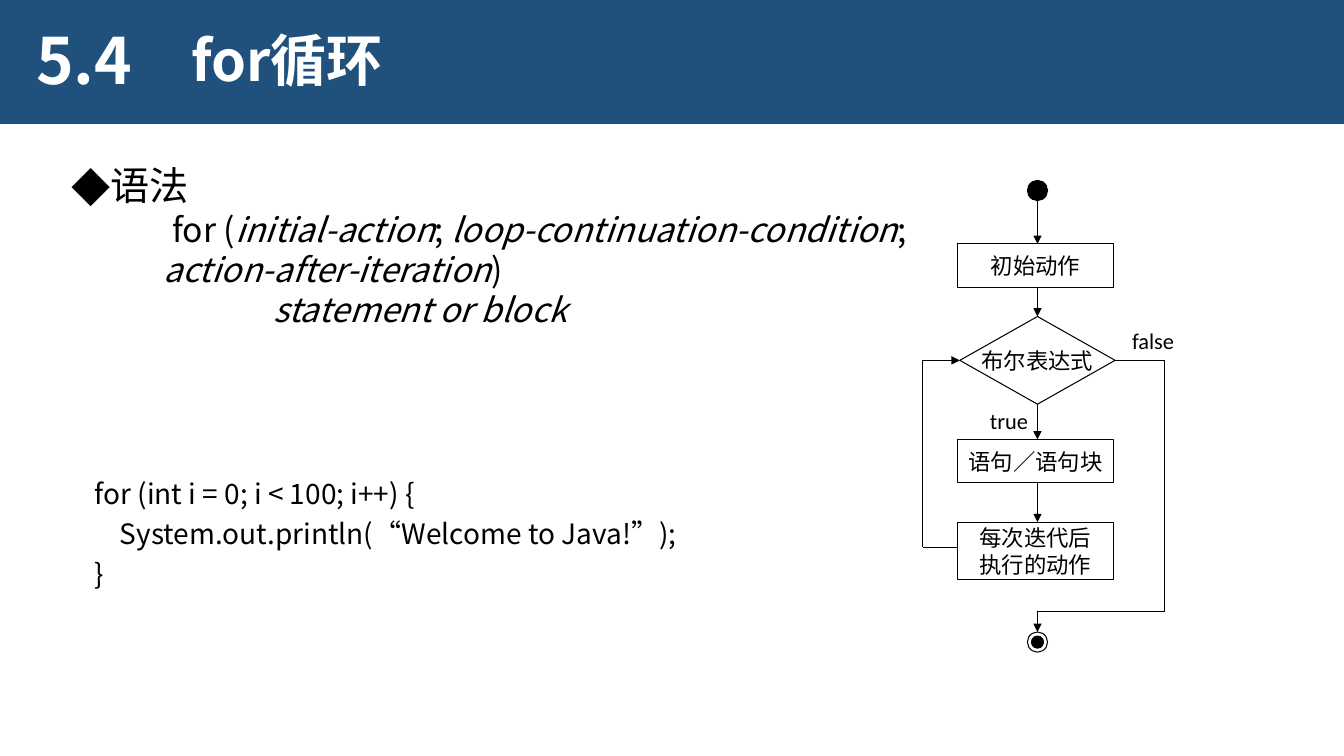
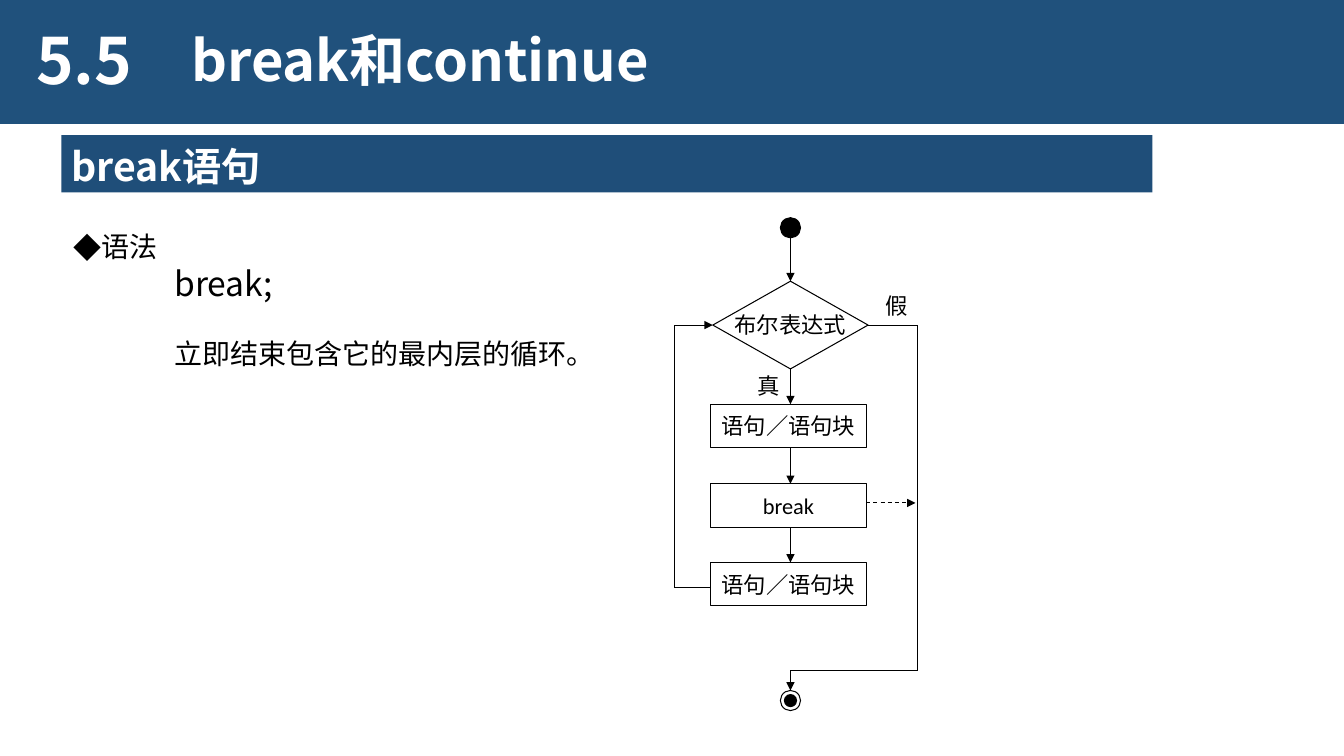
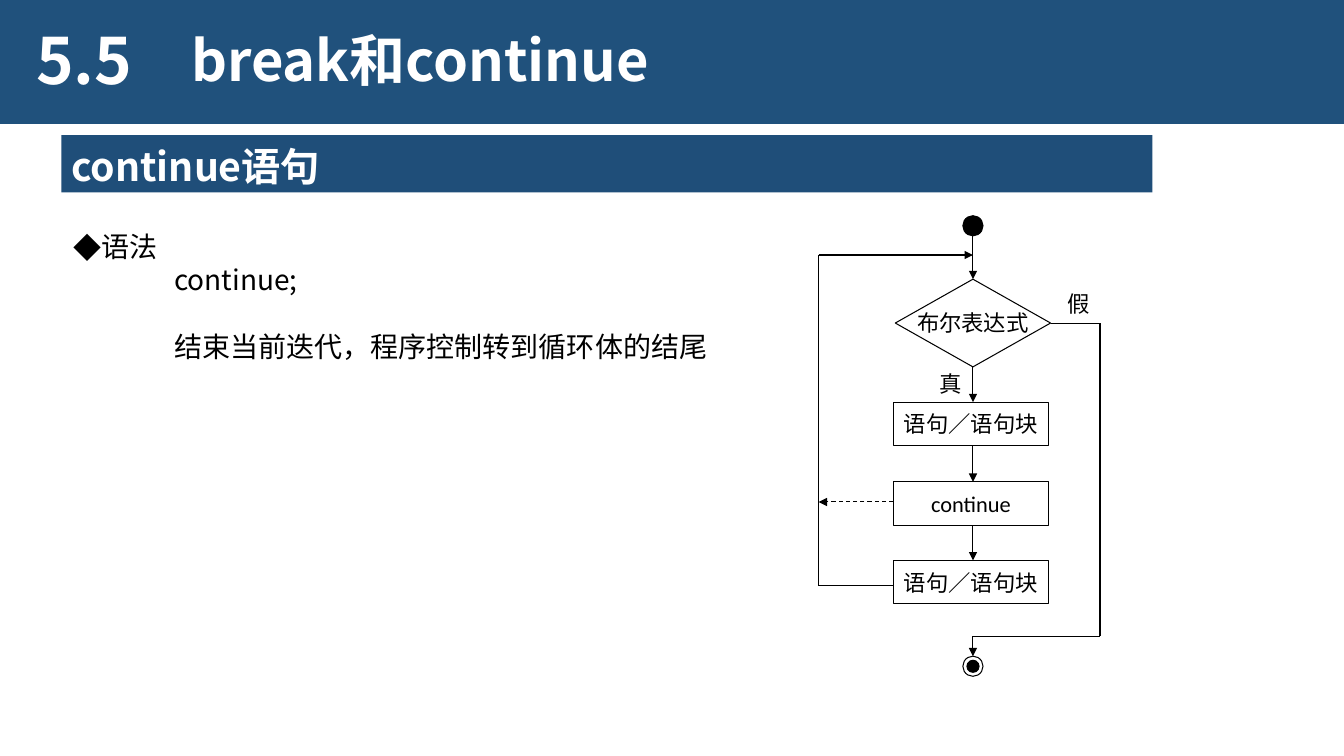
from lxml.etree import SubElement
from pptx import Presentation
from pptx.dml.color import RGBColor
from pptx.enum.dml import MSO_LINE
from pptx.enum.shapes import MSO_CONNECTOR, MSO_SHAPE as Preset
from pptx.enum.text import MSO_ANCHOR, MSO_AUTO_SIZE, PP_ALIGN
from pptx.oxml.ns import qn
from pptx.util import Inches, Pt

# Shared look
WIDTH, HEIGHT = 13.33, 7.5
BAND, BANNER, INK, PAPER = "20517C", "1F4E79", "000000", "FFFFFF"
HEAD_FONT, LABEL_FONT = "Noto Sans CJK SC", "Calibri"
LEADING = 1.19          # line pitch as a multiple of the text size
NODE_W, NODE_H, DECISION_H, DOT = 1.54, 0.43, 0.87, 0.2
STEP, DECISION, DOUBLE = "step", "decision", "double"

# Content: a line is (indent, space before, size, bullet, [(text, italic), ...])
PAGES = [
    {
        "number": "5.4", "title": "for循环", "banner": None,
        "body_at": (0.61, 1.56),
        "body": [
            (0, 0, 28, True, [("语法", False)]),
            (1, 0, 24, False, [("for (", False), ("initial-action", True), ("; ", False),
                               ("loop-continuation-condition", True), (";", False)]),
            (0.91, 0, 24, False, [("action-after-iteration", True), (")", False)]),
            (2, 0, 24, False, [("statement or block", True)]),
        ],
        "code": [
            (0, 0, 20, False, [("for (int i = 0; i < 100; i++) {", False)]),
            (0.25, 4.8, 20, False, [("System.out.println(“Welcome to Java!”);", False)]),
            (0, 4.8, 20, False, [("}", False)]),
        ],
        "flow": {
            "center": 10.29, "start": 1.79, "end": 6.27, "loop_x": 9.15,
            "nodes": [(STEP, "初始动作", 2.42), (DECISION, "布尔表达式", 3.14),
                      (STEP, "语句／语句块", 4.36),
                      (DOUBLE, "每次迭代后\n执行的动作", 5.18)],
            "yes": ("true", 0.57, 0.66), "no": ("false", 0.73),
        },
    },
    {
        "number": "5.5", "title": "break和continue", "banner": "break语句",
        "body_at": (0.63, 2.23),
        "body": [
            (0, 0, 20, True, [("语法", False)]),
            (1, 0, 24, False, [("break;", False)]),
            (1, 23.8, 20, False, [("立即结束包含它的最内层的循环。", False)]),
        ],
        "flow": {
            "center": 7.84, "start": 2.16, "end": 6.85, "loop_x": 6.69,
            "nodes": [(DECISION, "布尔表达式", 2.79), (STEP, "语句／语句块", 4.01),
                      (STEP, "break", 4.8), (STEP, "语句／语句块", 5.58)],
            "yes": ("真", 0.43, 0.42), "no": ("假", 0.42),
            "jump": (8.59, 9.08, 4.99),
        },
    },
    {
        "number": "5.5", "title": "break和continue", "banner": "continue语句",
        "body_at": (0.63, 2.23),
        "body": [
            (0, 0, 20, True, [("语法", False)]),
            (1, 0, 20, False, [("continue;", False)]),
            (1, 23.8, 20, False, [("结束当前迭代，程序控制转到循环体的结尾", False)]),
        ],
        "flow": {
            "center": 9.65, "start": 2.14, "end": 6.51, "loop_x": 8.12, "rejoin": 2.53,
            "nodes": [(DECISION, "布尔表达式", 2.77), (STEP, "语句／语句块", 3.99),
                      (STEP, "continue", 4.78), (STEP, "语句／语句块", 5.56)],
            "yes": ("真", 0.43, 0.42), "no": ("假", 0.42),
            "jump": (8.86, 8.12, 4.98),
        },
    },
]


# Drawing helpers
def color(value):
    return RGBColor.from_string(value)


def apply(target, values):
    for name, value in values.items():
        setattr(target, name, value)


def add_span(para, text, size, ink=INK, font=HEAD_FONT, bold=False, italic=False):
    span = para.add_run()
    span.text = text
    apply(span.font, {"name": font, "size": Pt(size), "bold": bold, "italic": italic})
    span.font.color.rgb = color(ink)
    SubElement(span.font._element, qn("a:ea")).set("typeface", font)


def add_box(page, left, top, width, height):
    box = page.shapes.add_textbox(*map(Inches, (left, top, width, height)))
    box.text_frame.word_wrap = True
    return box


def add_shape(page, preset, left, top, width, height, fill=None, line=None):
    shape = page.shapes.add_shape(preset, *map(Inches, (left, top, width, height)))
    shape.shadow.inherit = False
    for part, value in ((shape.fill, fill), (shape.line.fill, line)):
        if value:
            part.solid()
            part.fore_color.rgb = color(value)
        else:
            part.background()
    if line:
        shape.line.width = Pt(0.75)
    return shape


def add_line(page, start, finish, arrow=False, dashed=False):
    line = page.shapes.add_connector(MSO_CONNECTOR.STRAIGHT, *map(Inches, start + finish))
    line.line.color.rgb = color(INK)
    line.line.width = Pt(0.75)
    if dashed:
        line.line.dash_style = MSO_LINE.DASH
    if arrow:
        SubElement(line.line._get_or_add_ln(), qn("a:tailEnd")).set("type", "triangle")
    SubElement(line._element.spPr, qn("a:effectLst"))


def add_route(page, points, arrow=False):
    for index in range(1, len(points)):
        last = index == len(points) - 1
        add_line(page, points[index - 1], points[index], arrow and last)


def write_heading(frame, text, size, pitch):
    para = frame.paragraphs[0]
    apply(para, {"alignment": PP_ALIGN.LEFT, "line_spacing": Pt(pitch)})
    add_span(para, text, size, PAPER, bold=True)


def write_lines(frame, lines):
    for index, (indent, before, size, bullet, spans) in enumerate(lines):
        para = frame.add_paragraph() if index else frame.paragraphs[0]
        apply(para, {"line_spacing": Pt(round(size * LEADING, 1)),
                     "space_before": Pt(before)})
        props = para._p.get_or_add_pPr()
        props.set("marL", str(Inches(indent)))
        props.set("indent", "0")
        if bullet:
            SubElement(props, qn("a:buFont")).set("typeface", HEAD_FONT)
            SubElement(props, qn("a:buChar")).set("char", "◆")
        for text, italic in spans:
            add_span(para, text, size, italic=italic)


def write_label(frame, text, align):
    frame.word_wrap = False
    for index, line in enumerate(text.split("\n")):
        para = frame.add_paragraph() if index else frame.paragraphs[0]
        para.alignment = align
        add_span(para, line, 16, font=LABEL_FONT)


def add_label(page, text, left, top, width):
    box = add_box(page, left, top, width, 0.37)
    write_label(box.text_frame, text, PP_ALIGN.LEFT)
    box.text_frame.auto_size = MSO_AUTO_SIZE.SHAPE_TO_FIT_TEXT


# Slide parts
def add_header(page, number, title, banner):
    add_shape(page, Preset.RECTANGLE, 0, 0, WIDTH, 1.23, BAND)
    for text, size, pitch, place in ((number, 45.6, 48.8, (0.26, 0.24, 1.37, 0.86)),
                                     (title, 40, 42.8, (1.8, 0.28, 8.09, 0.7))):
        write_heading(add_box(page, *place).text_frame, text, size, pitch)
    if banner:
        strip = add_shape(page, Preset.RECTANGLE, 0.61, 1.34, 10.82, 0.57, BANNER)
        apply(strip.text_frame, {"vertical_anchor": MSO_ANCHOR.TOP,
                                 "margin_top": Inches(0.08), "margin_bottom": 0})
        write_heading(strip.text_frame, banner, 28, 33.3)


def add_flow(page, flow):
    center, start, end, loop_x = (flow[key] for key in ("center", "start", "end", "loop_x"))
    exit_x, join_y = center + 1.26, end - 0.2
    kinds = {STEP: (Preset.FLOWCHART_PROCESS, NODE_H, 0.79),
             DOUBLE: (Preset.FLOWCHART_PROCESS, 0.57, 0.79),
             DECISION: (Preset.FLOWCHART_DECISION, DECISION_H, 0.77)}

    # Start and end marks
    add_shape(page, Preset.OVAL, center - DOT / 2, start, DOT, DOT, INK, INK)
    add_shape(page, Preset.OVAL, center - DOT / 2, end, DOT, DOT, None, INK)
    add_shape(page, Preset.OVAL, center - 0.06, end + 0.04, 0.12, 0.12, INK, INK)

    # Nodes, each reached from the one above
    above = start + DOT
    for kind, text, top in flow["nodes"]:
        preset, height, reach = kinds[kind]
        node = add_shape(page, preset, center - reach, top, NODE_W, height, None, INK)
        node.text_frame.vertical_anchor = MSO_ANCHOR.MIDDLE
        write_label(node.text_frame, text, PP_ALIGN.CENTER)
        add_line(page, (center, above), (center, top), arrow=True)
        above = top + height
        if kind == DECISION:
            test_top = top

    # Way back to the test, and way out
    test_y, back_y = test_top + DECISION_H / 2, flow["nodes"][-1][2] + 0.25
    rejoin = (center, flow["rejoin"]) if "rejoin" in flow else (center - 0.77, test_y)
    add_route(page, [(center - 0.79, back_y), (loop_x, back_y), (loop_x, rejoin[1]), rejoin],
              arrow=True)
    add_route(page, [(center + 0.77, test_y), (exit_x, test_y), (exit_x, join_y),
                     (center, join_y), (center, end)], arrow=True)
    if "jump" in flow:
        leave_x, reach_x, jump_y = flow["jump"]
        add_line(page, (leave_x, jump_y), (reach_x, jump_y), arrow=True, dashed=True)

    # Branch labels
    yes, offset, width = flow["yes"]
    add_label(page, yes, center - offset, test_top + 0.85 - 0.14 * 0, width)
    no, width = flow["no"]
    add_label(page, no, center + 0.84, test_top + 0.06, width)


# Build
deck = Presentation()
deck.slide_width, deck.slide_height = Inches(WIDTH), Inches(HEIGHT)
for content in PAGES:
    page = deck.slides.add_slide(deck.slide_layouts[6])
    add_header(page, content["number"], content["title"], content["banner"])
    left, top = content["body_at"]
    write_lines(add_box(page, left, top, 11.69, 2.24).text_frame, content["body"])
    if "code" in content:
        write_lines(add_box(page, 0.84, 4.68, 7.88, 1.38).text_frame, content["code"])
    add_flow(page, content["flow"])
deck.save("out.pptx")
